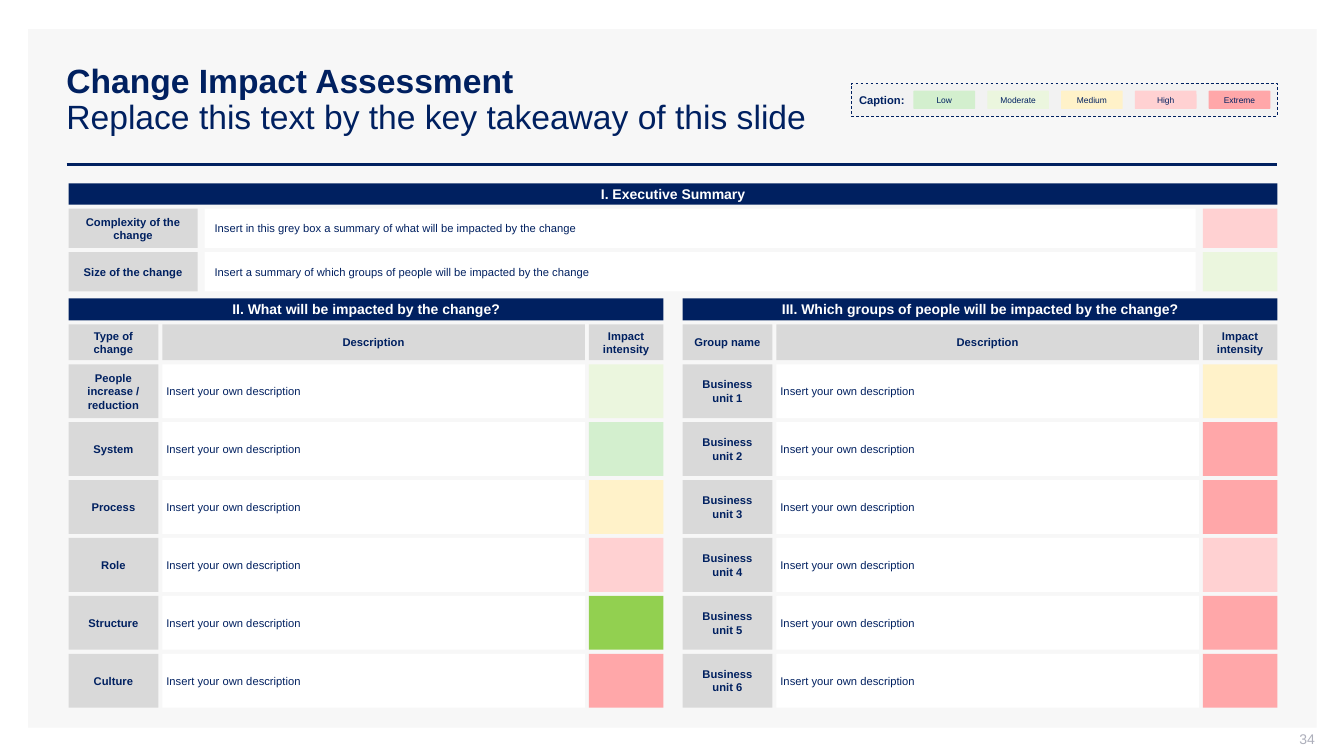
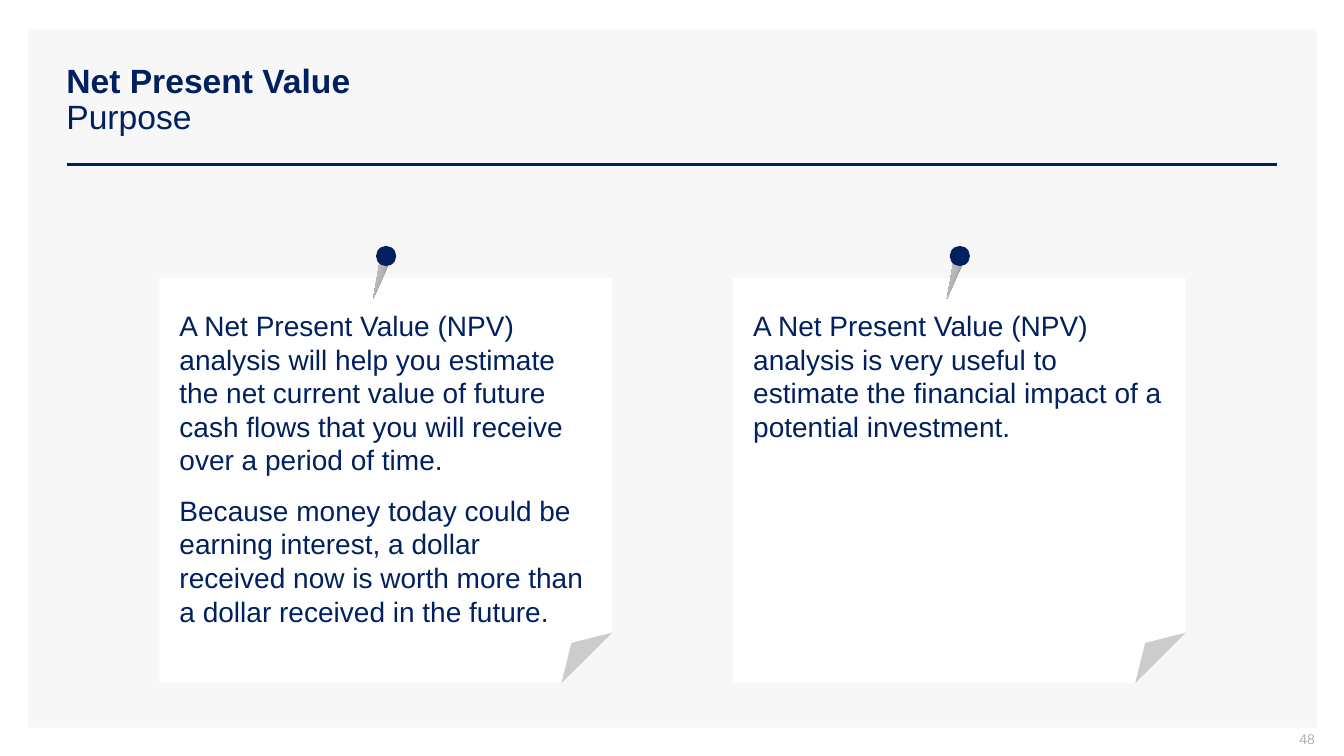
import copy
import dataclasses

import pptx
import pptx.dml.color
import pptx.enum.dml
import pptx.enum.shapes
import pptx.enum.text
import pptx.oxml.ns
import pptx.util
from lxml import etree

SHAPE = pptx.enum.shapes.MSO_SHAPE
ALIGN = pptx.enum.text.PP_ALIGN
ANCHOR = pptx.enum.text.MSO_ANCHOR
FONT = "Arial"
COLORS = {
    "navy": "002060", "white": "FFFFFF", "panel": "F7F7F7", "label": "D9D9D9",
    "caption": "F2F2F2", "number": "ADAFBB", "needle dark": "808080",
    "needle middle": "B7B7B7", "needle light": "D9D9D9", "green": "92D050",
    "low": "D3EFCE", "moderate": "EBF6DE", "medium": "FFF2C9",
    "high": "FFD1D2", "extreme": "FFA7A9",
}
LEVELS = ["Low", "Moderate", "Medium", "High", "Extreme"]


@dataclasses.dataclass
class Box:
    left: float
    top: float
    width: float
    height: float

    def inner(self, right, down, width, height):
        return Box(self.left + right, self.top + down, width, height)

    def columns(self, weights, gap):
        return [Box(start, self.top, size, self.height)
                for start, size in tracks(self.left, self.width, weights, gap)]

    def rows(self, weights, gap):
        return [Box(self.left, start, self.width, size)
                for start, size in tracks(self.top, self.height, weights, gap)]

    def emu(self):
        return [pptx.util.Inches(value)
                for value in (self.left, self.top, self.width, self.height)]


PAGE = Box(0, 0, 13.33, 7.5)
PANEL = Box(0.28, 0.29, 12.78, 6.93)
TITLE = Box(0.56, 0.4, 12.11, 1.19)
RULE = Box(0.66, 1.63, 12.01, 0)
NUMBER = Box(10.04, 7.25, 3, 0.21)


def tracks(start, length, weights, gap):
    unit = (length - gap * (len(weights) - 1)) / sum(weights)
    result = []
    for weight in weights:
        result.append((start, weight * unit))
        start += weight * unit + gap
    return result


def rgb(name):
    return pptx.dml.color.RGBColor.from_string(COLORS[name])


def style_run(run, size, color, bold):
    run.font.name = FONT
    run.font.size = pptx.util.Pt(size)
    run.font.bold = bold
    run.font.color.rgb = rgb(color)


def write(shape, paragraphs, size, color="navy", bold=False, align=ALIGN.LEFT,
          anchor=ANCHOR.MIDDLE, insets=(0.1, 0.05, 0.1, 0.05), gap=0, spacing=None):
    frame = shape.text_frame
    frame.word_wrap = True
    frame.vertical_anchor = anchor
    (frame.margin_left, frame.margin_top,
     frame.margin_right, frame.margin_bottom) = map(pptx.util.Inches, insets)
    for index, text in enumerate(paragraphs):
        paragraph = frame.add_paragraph() if index else frame.paragraphs[0]
        paragraph.text = text
        paragraph.alignment = align
        paragraph.line_spacing = spacing
        if index:
            paragraph.space_before = pptx.util.Pt(gap)
        for run in paragraph.runs:
            style_run(run, size, color, bold)


def add_block(shapes, box, fill, kind=SHAPE.RECTANGLE):
    shape = shapes.add_shape(kind, *box.emu())
    shape.shadow.inherit = False
    shape.fill.solid()
    shape.fill.fore_color.rgb = rgb(fill)
    shape.line.fill.background()
    return shape


def add_band(slide, box, text):
    write(add_block(slide.shapes, box, "navy"), [text], 10, "white", True, ALIGN.CENTER)


def add_label(slide, box, text, side=0.1):
    write(add_block(slide.shapes, box, "label"), [text], 8, bold=True,
          align=ALIGN.CENTER, insets=(side, 0.05, side, 0.05))


def add_entry(slide, box, text, side):
    write(add_block(slide.shapes, box, "white"), [text], 8,
          insets=(side, 0.05, side, 0.05))


def add_frame(presentation, heading, takeaway, number):
    slide = presentation.slides.add_slide(presentation.slide_layouts[6])
    add_block(slide.shapes, PANEL, "panel")
    left, top, width, _ = RULE.emu()
    rule = slide.shapes.add_connector(
        pptx.enum.shapes.MSO_CONNECTOR.STRAIGHT, left, top, left + width, top)
    rule.line.color.rgb = rgb("navy")
    rule.line.width = pptx.util.Pt(2)
    etree.SubElement(rule._element.spPr, pptx.oxml.ns.qn("a:effectLst"))
    title = slide.shapes.add_textbox(*TITLE.emu())
    write(title, [f"{heading}\n{takeaway}"], 24, spacing=0.9)
    title.text_frame.paragraphs[0].runs[0].font.bold = True
    write(slide.shapes.add_textbox(*NUMBER.emu()), [str(number)], 10, "number",
          align=ALIGN.RIGHT, insets=(0.1, 0, 0, 0.05))
    return slide


def add_caption(slide, box):
    caption = add_block(slide.shapes, box, "caption")
    caption.line.color.rgb = rgb("navy")
    caption.line.width = pptx.util.Pt(0.5)
    caption.line.dash_style = pptx.enum.dml.MSO_LINE.DASH
    write(caption, ["Caption:"], 8, bold=True, insets=(0.08, 0.1, 0.08, 0.08), spacing=0.9)
    swatches = box.inner(0.62, 0.07, 3.54, 0.18).columns([1] * len(LEVELS), 0.12)
    for level, cell in zip(LEVELS, swatches):
        swatch = add_block(slide.shapes, cell, level.lower(), SHAPE.ROUNDED_RECTANGLE)
        swatch.adjustments[0] = 0.04
        write(swatch, [level], 6, align=ALIGN.CENTER)


def add_summary(slide, box, entries):
    band, *rows = box.rows([0.21] + [0.39] * len(entries), 0.04)
    add_band(slide, band, "I. Executive Summary")
    for row, (label, text, level) in zip(rows, entries):
        label_cell, text_cell, level_cell = row.columns([1.28, 9.83, 0.74], 0.07)
        add_label(slide, label_cell, label)
        add_entry(slide, text_cell, text, 0.1)
        add_block(slide.shapes, level_cell, level)


def add_impacts(slide, box, heading, first_column, impacts):
    band, header, *rows = box.rows([0.22, 0.36] + [0.54] * len(impacts), 0.04)
    add_band(slide, band, heading)
    widths = [0.89, 4.19, 0.74]
    headers = [(first_column, 0), ("Description", 0.1), ("Impact intensity", 0.04)]
    for cell, (text, side) in zip(header.columns(widths, 0.04), headers):
        add_label(slide, cell, text, side)
    for row, (label, level) in zip(rows, impacts):
        label_cell, text_cell, level_cell = row.columns(widths, 0.04)
        add_label(slide, label_cell, label, 0.02)
        add_entry(slide, text_cell, "Insert your own description", 0.04)
        add_block(slide.shapes, level_cell, level)


def add_pin(slide, box):
    group = slide.shapes.add_group_shape()
    needle = add_block(group.shapes, box.inner(0, 0.17, 0.09, 0.36), "label",
                       SHAPE.ISOSCELES_TRIANGLE)
    needle.rotation = 197
    needle.fill.gradient()
    needle.fill.gradient_angle = 0
    stops = next(needle._element.spPr.iter(pptx.oxml.ns.qn("a:gsLst")))
    stops.insert(1, copy.deepcopy(stops[0]))
    names = ["needle dark", "needle middle", "needle light"]
    for index, (stop, name) in enumerate(zip(needle.fill.gradient_stops, names)):
        stop.position = index / 2
        stop.color.rgb = rgb(name)
    add_block(group.shapes, box.inner(0.02, 0, 0.2, 0.2), "navy", SHAPE.OVAL)


def add_note(slide, box, paragraphs):
    note = add_block(slide.shapes, box, "white", SHAPE.FOLDED_CORNER)
    guides = next(note._element.spPr.iter(pptx.oxml.ns.qn("a:avLst")))
    etree.SubElement(guides, pptx.oxml.ns.qn("a:gd"), name="adj", fmla="val 12500")
    write(note, paragraphs, 20, anchor=ANCHOR.TOP, insets=(0.2, 0.3, 0.2, 0.1), gap=12)
    add_pin(slide, box.inner(2.13, -0.32, 0.22, 0.53))


def build_assessment(presentation):
    slide = add_frame(presentation, "Change Impact Assessment",
                      "Replace this text by the key takeaway of this slide", 34)
    add_caption(slide, Box(8.44, 0.83, 4.23, 0.32))
    summary, details = Box(0.68, 1.82, 11.99, 5.2).rows([1.07, 4.06], 0.07)
    add_summary(slide, summary, [
        ("Complexity of the change",
         "Insert in this grey box a summary of what will be impacted by the change", "high"),
        ("Size of the change",
         "Insert a summary of which groups of people will be impacted by the change",
         "moderate"),
    ])
    changes, groups = details.columns([1, 1], 0.19)
    add_impacts(slide, changes, "II. What will be impacted by the change?",
                "Type of\nchange", [
                    ("People\nincrease / reduction", "moderate"), ("System", "low"),
                    ("Process", "medium"), ("Role", "high"),
                    ("Structure", "green"), ("Culture", "extreme")])
    levels = ["medium", "extreme", "extreme", "high", "extreme", "extreme"]
    add_impacts(slide, groups,
                "III. Which groups of people will be impacted by the change?", "Group name",
                [(f"Business\nunit {index}", level)
                 for index, level in enumerate(levels, 1)])


def build_purpose(presentation):
    slide = add_frame(presentation, "Net Present Value", "Purpose", 48)
    notes = [
        ["A Net Present Value (NPV) analysis will help you estimate the net current value "
         "of future cash flows that you will receive over a period of time.",
         "Because money today could be earning interest, a dollar received now is worth "
         "more than a dollar received in the future."],
        ["A Net Present Value (NPV) analysis is very useful to estimate the financial "
         "impact of a potential investment."],
    ]
    for box, paragraphs in zip(Box(1.58, 2.76, 10.18, 4.02).columns([1, 1], 1.2), notes):
        add_note(slide, box, paragraphs)


def main():
    presentation = pptx.Presentation()
    presentation.slide_width = pptx.util.Inches(PAGE.width)
    presentation.slide_height = pptx.util.Inches(PAGE.height)
    build_assessment(presentation)
    build_purpose(presentation)
    presentation.save("out.pptx")


if __name__ == "__main__":
    main()
